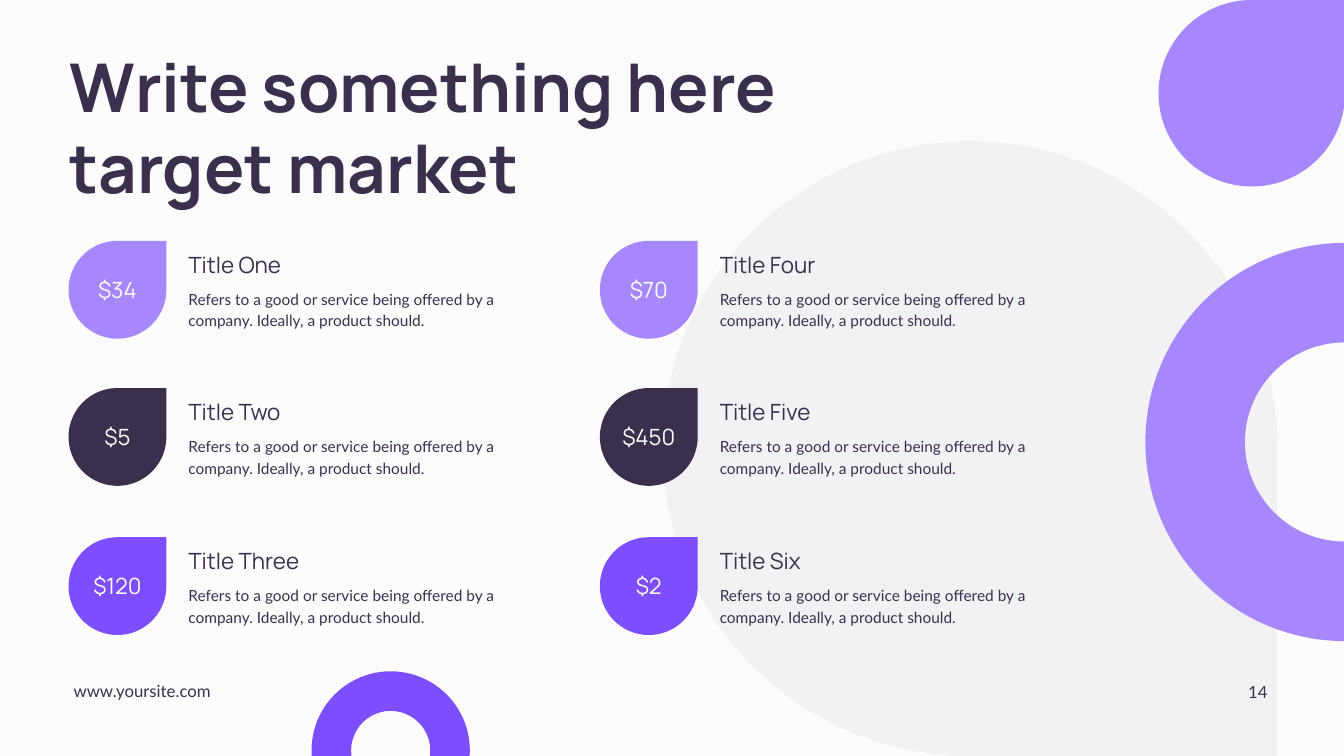
from lxml import etree
from pptx import Presentation, util as u
from pptx.dml.color import RGBColor
from pptx.enum import shapes, text
from pptx.oxml.ns import qn

COLORS = {
    "paper": "FCFCFC",
    "ink": "3B2F4E",
    "lilac": "A688FC",
    "violet": "7C4EFD",
}
BLURB = "Refers to a good or service being offered by a company. Ideally, a product should."
COLUMNS = [
    (0.68, [("Title One", "$34"), ("Title Two", "$5"), ("Title Three", "$120")]),
    (5.95, [("Title Four", "$70"), ("Title Five", "$450"), ("Title Six", "$2")]),
]
ROWS = [(2.39, "lilac"), (3.85, "ink"), (5.33, "violet")]
DROP_SIZE = 0.97
PRICE_WIDTH = 0.78


class MarketSlide:
    heading_font = "Manrope"
    body_font = "Lato"

    def __init__(self, deck):
        self.slide = deck.slides.add_slide(deck.slide_layouts[6])
        background = self.slide.background.fill
        background.solid()
        background.fore_color.rgb = self.color("paper")

    def color(self, name):
        return RGBColor.from_string(COLORS[name])

    def figure(self, preset, left, top, size, color, alpha=None):
        figure = self.slide.shapes.add_shape(
            preset, u.Inches(left), u.Inches(top), u.Inches(size), u.Inches(size))
        figure.shadow.inherit = False
        figure.line.fill.background()
        figure.fill.solid()
        figure.fill.fore_color.rgb = self.color(color)
        if alpha is not None:
            tint = figure._element.spPr.find(".//" + qn("a:srgbClr"))
            etree.SubElement(tint, qn("a:alpha"), val=str(alpha * 1000))
        return figure

    def drop(self, left, top, size, color, alpha=None):
        return self.figure(shapes.MSO_SHAPE.TEAR, left, top, size, color, alpha)

    def ring(self, left, top, size, color):
        ring = self.figure(shapes.MSO_SHAPE.DONUT, left, top, size, color)
        ring.adjustments[0] = 0.25

    def label(self, words, left, top, width, height, size, font, color="ink", bold=False,
              align=text.PP_ALIGN.LEFT, anchor=text.MSO_ANCHOR.TOP, inset=True,
              wrap=True, spacing=None, group=None):
        home = group or self.slide
        box = home.shapes.add_textbox(
            u.Inches(left), u.Inches(top), u.Inches(width), u.Inches(height))
        frame = box.text_frame
        frame.word_wrap = wrap
        frame.vertical_anchor = anchor
        if not inset:
            frame.margin_left = frame.margin_right = 0
            frame.margin_top = frame.margin_bottom = 0
        paragraph = frame.paragraphs[0]
        paragraph.alignment = align
        if spacing:
            paragraph.line_spacing = u.Pt(spacing)
        run = paragraph.add_run()
        run.text = words
        run.font.size = u.Pt(size)
        run.font.name = font
        run.font.bold = bold
        run.font.color.rgb = self.color(color)

    def offer(self, left, top, color, title, price):
        self.drop(left, top, DROP_SIZE, color)
        group = self.slide.shapes.add_group_shape()
        self.label(title, left + 1.09, top + 0.05, 2.02, 0.37, 16,
                   self.heading_font, group=group)
        self.label(BLURB, left + 1.09, top + 0.41, 3.69, 0.5, 11,
                   self.body_font, spacing=15.3, group=group)
        self.label(price, left + (DROP_SIZE - PRICE_WIDTH) / 2, top + 0.3,
                   PRICE_WIDTH, 0.37, 16, self.heading_font, "paper",
                   align=text.PP_ALIGN.CENTER, wrap=False)


def main():
    deck = Presentation()
    deck.slide_width = u.Inches(13.33)
    deck.slide_height = u.Inches(7.5)
    market = MarketSlide(deck)

    market.label("www.yoursite.com", 0.73, 6.75, 2.71, 0.2, 12,
                 market.body_font, inset=False)
    market.drop(11.49, 0, 1.85, "lilac")
    backdrop = market.drop(6.57, 1.4, 6.1, "ink", alpha=5)
    backdrop.rotation = 90
    market.label("14", 9.67, 6.66, 3, 0.4, 12, market.body_font,
                 align=text.PP_ALIGN.RIGHT, anchor=text.MSO_ANCHOR.MIDDLE)
    market.label("Write something here target market", 0.69, 0.45, 8.98, 1.62, 48,
                 market.heading_font, bold=True, inset=False)

    for left, offers in COLUMNS:
        for (top, color), (title, price) in zip(ROWS, offers):
            market.offer(left, top, color, title, price)

    market.ring(11.36, 2.41, 3.95, "lilac")
    market.ring(3.09, 6.66, 1.57, "violet")
    deck.save("out.pptx")


if __name__ == "__main__":
    main()
